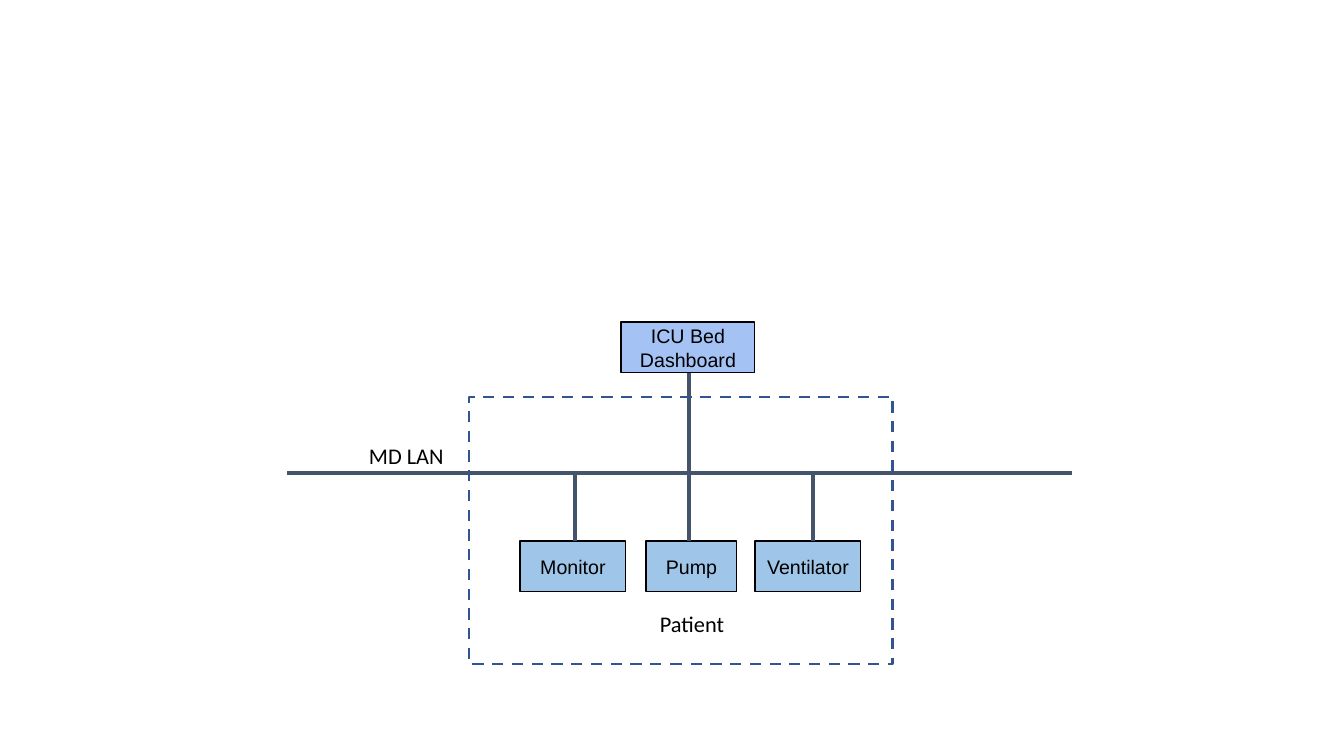
import dataclasses
import pptx
import pptx.util
import pptx.dml.color
import pptx.enum.dml
import pptx.enum.shapes
import pptx.enum.text
import lxml.etree

EMU_PER_PIXEL = 914400 / 100.8
DRAWING_NS = "http://schemas.openxmlformats.org/drawingml/2006/main"
ALIGN = pptx.enum.text.PP_ALIGN
ANCHOR = pptx.enum.text.MSO_ANCHOR


def px(length):
    return pptx.util.Emu(round(length * EMU_PER_PIXEL))


def rgb(code):
    return pptx.dml.color.RGBColor.from_string(code)


@dataclasses.dataclass(frozen=True)
class Theme:
    ink: str = "000000"
    dashboard: str = "A4C2F4"
    device: str = "9FC5E8"
    network: str = "44546A"
    zone: str = "325491"
    box_font: str = "Arial"
    label_font: str = "Calibri"
    box_size: int = 14
    label_size: int = 16
    box_line: float = 0.75
    network_line: float = 2.25
    zone_line: float = 2


class Diagram:
    def __init__(self, slide, theme):
        self.shapes = slide.shapes
        self.theme = theme

    def add_words(self, shape, text, font, size, align, anchor, inset):
        frame = shape.text_frame
        frame.word_wrap = True
        frame.vertical_anchor = anchor
        frame.margin_left = frame.margin_right = px(10)
        frame.margin_top = frame.margin_bottom = px(inset)
        paragraph = frame.paragraphs[0]
        paragraph.alignment = align
        run = paragraph.add_run()
        run.text = text
        run.font.name = font
        run.font.size = pptx.util.Pt(size)
        run.font.color.rgb = rgb(self.theme.ink)

    def rectangle(self, left, top, width, height, color, weight):
        shape = self.shapes.add_shape(
            pptx.enum.shapes.MSO_SHAPE.RECTANGLE, px(left), px(top), px(width), px(height))
        shape.shadow.inherit = False
        shape.line.color.rgb = rgb(color)
        shape.line.width = pptx.util.Pt(weight)
        return shape

    def box(self, text, left, top, width, height, fill):
        theme = self.theme
        shape = self.rectangle(left, top, width, height, theme.ink, theme.box_line)
        shape.fill.solid()
        shape.fill.fore_color.rgb = rgb(fill)
        self.add_words(shape, text, theme.box_font, theme.box_size,
                       ALIGN.CENTER, ANCHOR.MIDDLE, 10)

    def zone(self, left, top, width, height):
        shape = self.rectangle(left, top, width, height, self.theme.zone, self.theme.zone_line)
        shape.fill.background()
        shape.line.dash_style = pptx.enum.dml.MSO_LINE.DASH

    def label(self, text, left, top, width, height, align):
        shape = self.shapes.add_textbox(px(left), px(top), px(width), px(height))
        self.add_words(shape, text, self.theme.label_font, self.theme.label_size,
                       align, ANCHOR.TOP, 5)

    def line(self, x1, y1, x2, y2):
        link = self.shapes.add_connector(
            pptx.enum.shapes.MSO_CONNECTOR.STRAIGHT, px(x1), px(y1), px(x2), px(y2))
        link.line.color.rgb = rgb(self.theme.network)
        link.line.width = pptx.util.Pt(self.theme.network_line)
        properties = link._element.spPr
        lxml.etree.SubElement(properties, "{%s}effectLst" % DRAWING_NS)


deck = pptx.Presentation()
deck.slide_width, deck.slide_height = px(1344), px(756)
theme = Theme()
diagram = Diagram(deck.slides.add_slide(deck.slide_layouts[6]), theme)

box_height = 51
device_top = 541
lan_y = 473
dashboard_top = 322
devices = [
    ("Monitor", 520, 106, 575, lan_y - 2),
    ("Pump", 646, 91, 689, dashboard_top + box_height),
    ("Ventilator", 755, 106, 813, lan_y - 1),
]

diagram.label("Patient", 605, 605, 174, 37, ALIGN.CENTER)
diagram.box("ICU Bed Dashboard", 621, dashboard_top, 134, box_height, theme.dashboard)
for device, left, width, drop_x, drop_top in devices:
    diagram.box(device, left, device_top, width, box_height, theme.device)
diagram.line(287, lan_y, 1072, lan_y)
for device, left, width, drop_x, drop_top in devices:
    diagram.line(drop_x, device_top, drop_x, drop_top)
diagram.label("MD LAN", 359, 437, 231, 37, ALIGN.LEFT)
diagram.zone(469, 397, 424, 267)

deck.save("out.pptx")
